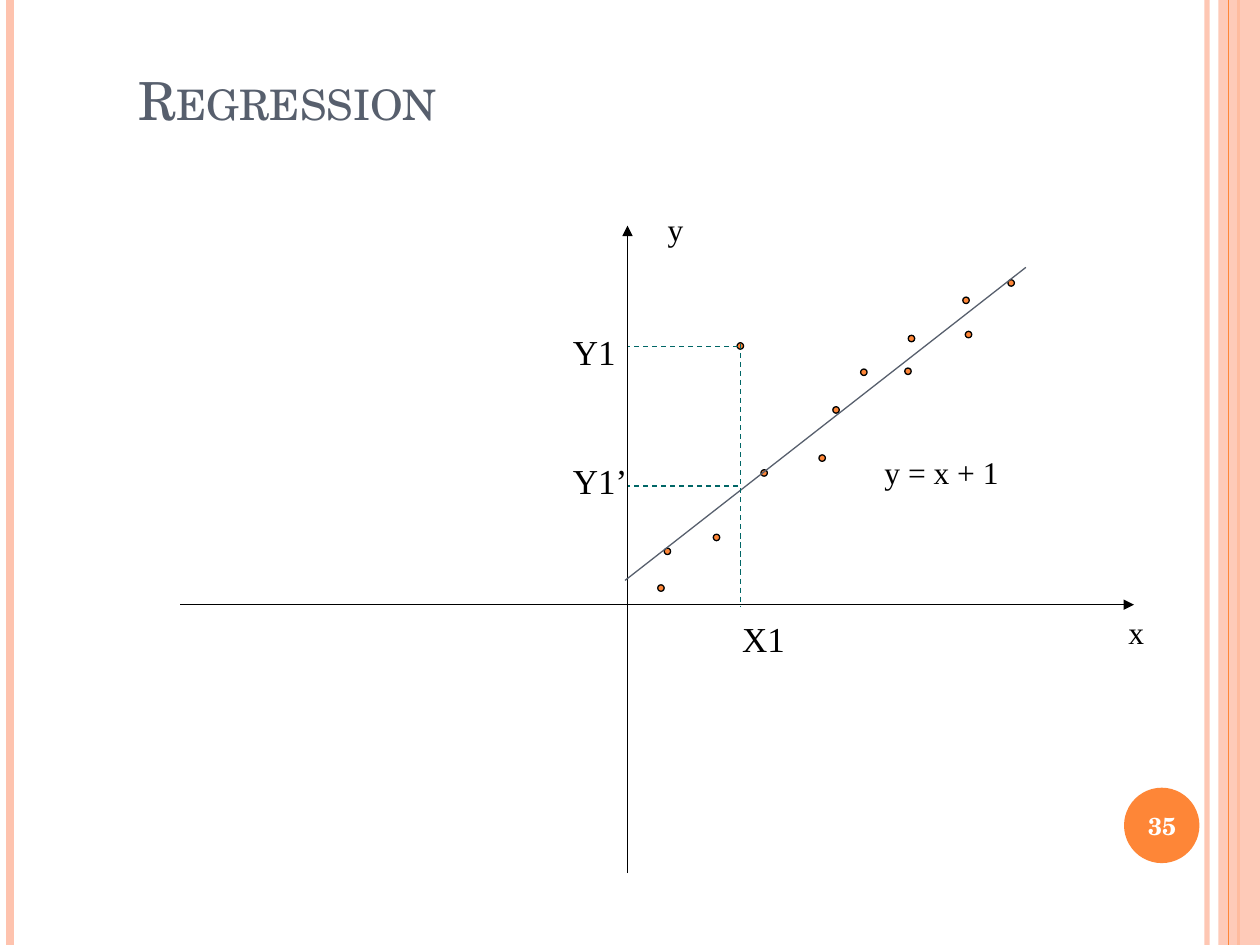
import pptx
import pptx.util
import pptx.dml.color
import pptx.enum.dml
import pptx.enum.shapes
import pptx.enum.text
import pptx.oxml
import pptx.oxml.ns
from lxml import etree

Cm, Pt = pptx.util.Cm, pptx.util.Pt
SHAPE = pptx.enum.shapes.MSO_SHAPE
ANCHOR = pptx.enum.text.MSO_ANCHOR
ALIGN = pptx.enum.text.PP_ALIGN
ORANGE, PEACH, SLATE, TEAL, BLACK = "FE8637", "FEC3AE", "575F6D", "006666", "000000"
SERIF, HEADING = "Times New Roman", "TeX Gyre Schola"
PAGE_WIDTH, PAGE_HEIGHT = 25.4, 19.05
ORIGIN_X, ORIGIN_Y = 12.65, 12.19
X1, Y1, Y1_FITTED = 14.93, 6.98, 9.8
DOT_SIZE = 0.13
DOTS = [
    (16.51, 9.17), (15.34, 9.47), (14.86, 6.91), (14.38, 10.77), (16.79, 8.2),
    (17.35, 7.44), (13.39, 11.05), (18.24, 7.42), (18.31, 6.76), (19.46, 6.68),
    (13.26, 11.79), (19.41, 5.99), (20.32, 5.64),
]
LABELS = [
    ("x", 22.5, 12.23, 0.94, 18), ("y", 13.21, 4.1, 0.94, 18),
    ("y = x + 1", 17.58, 9, 3.58, 18), ("X1", 14.71, 12.33, 1.37, 20),
    ("Y1", 11.3, 6.53, 1.37, 20), ("Y1’", 11.3, 9.14, 1.6, 20),
]


def color(hex_string):
    """Turn a hex string into a colour."""
    return pptx.dml.color.RGBColor.from_string(hex_string)


def set_opacity(parent, percent):
    """Make the solid colour inside an element partly transparent."""
    rgb = next(parent.iter(pptx.oxml.ns.qn("a:srgbClr")))
    etree.SubElement(rgb, pptx.oxml.ns.qn("a:alpha"), val=str(percent * 1000))


def style_text(frame, text, size, font_name, hex_string):
    """Write one paragraph and return it with its font set."""
    frame.text = text
    paragraph = frame.paragraphs[0]
    font = paragraph.font
    font.size, font.name = Pt(size), font_name
    font.color.rgb = color(hex_string)
    return paragraph


def add_line(slide, start, end, hex_string, width=0.75, dashed=False, arrow=False):
    """Draw a straight line between two points."""
    line = slide.shapes.add_connector(
        pptx.enum.shapes.MSO_CONNECTOR.STRAIGHT, *map(Cm, start + end))
    line.line.color.rgb = color(hex_string)
    line.line.width = Pt(width)
    if dashed:
        line.line.dash_style = pptx.enum.dml.MSO_LINE.DASH
    if arrow:
        etree.SubElement(line.line._get_or_add_ln(),
                         pptx.oxml.ns.qn("a:tailEnd"), type="triangle")
    etree.SubElement(line._element.spPr, pptx.oxml.ns.qn("a:effectLst"))
    return line


def add_filled(slide, kind, left, top, width, height, fill, outline=None):
    """Draw a filled preset shape."""
    shape = slide.shapes.add_shape(kind, *map(Cm, (left, top, width, height)))
    shape.shadow.inherit = False
    shape.fill.solid()
    shape.fill.fore_color.rgb = color(fill)
    if outline:
        shape.line.color.rgb = color(outline)
        shape.line.width = Pt(0.75)
    else:
        shape.line.fill.background()
    return shape


def add_label(slide, text, left, top, width, size):
    """Place a black label on the graph."""
    box = slide.shapes.add_textbox(*map(Cm, (left, top, width, 1.1)))
    box.text_frame.word_wrap = False
    style_text(box.text_frame, text, size, SERIF, BLACK)


def add_borders(slide):
    """Draw the stripes at the left and right edges."""
    def stripe(x, hex_string, width):
        return add_line(slide, (x, 0), (x, PAGE_HEIGHT), hex_string, width)

    set_opacity(stripe(24.33, PEACH, 3)._element.spPr, 93)
    stripe(0.2, PEACH, 4.5)
    stripe(24.97, ORANGE, 1.5)
    band = add_filled(slide, SHAPE.RECTANGLE, 24.56, 0, PAGE_WIDTH - 24.56, PAGE_HEIGHT, PEACH)
    set_opacity(band._element.spPr, 87)
    stripe(24.77, ORANGE, 0.75)


def add_page_number(slide, number):
    """Draw the page number on its disc."""
    add_filled(slide, SHAPE.OVAL, 22.66, 15.88, 1.52, 1.52, ORANGE)
    box = slide.shapes.add_textbox(Cm(22.58), Cm(15.93), Cm(1.7), Cm(1.45))
    box.text_frame.word_wrap = True
    box.text_frame.vertical_anchor = ANCHOR.MIDDLE
    paragraph = style_text(box.text_frame, number, 14, HEADING, "FFFFFF")
    paragraph.alignment = ALIGN.CENTER
    paragraph.font.bold = True


def set_title(slide, text):
    """Place and format the title."""
    title = slide.shapes.title
    title.left, title.top, title.width, title.height = map(Cm, (2.54, 1.07, 17.78, 1.7))
    title.text_frame.vertical_anchor = ANCHOR.BOTTOM
    paragraph = style_text(title.text_frame, text, 30, HEADING, SLATE)
    paragraph.alignment = ALIGN.LEFT
    paragraph.font._element.set("cap", "small")


def add_graph(slide):
    """Draw the axes, data points, fitted line, guides and labels."""
    add_line(slide, (3.63, ORIGIN_Y), (22.86, ORIGIN_Y), BLACK, arrow=True)
    add_line(slide, (ORIGIN_X, 17.6), (ORIGIN_X, 4.55), BLACK, arrow=True)
    for left, top in DOTS:
        add_filled(slide, SHAPE.OVAL, left, top, DOT_SIZE, DOT_SIZE, ORANGE, BLACK)
    add_line(slide, (12.6, 11.7), (20.68, 5.39), SLATE)
    add_line(slide, (X1, Y1 - 0.05), (X1, ORIGIN_Y + 0.05), TEAL, dashed=True)
    for y in (Y1, Y1_FITTED):
        add_line(slide, (X1 - 0.05, y), (ORIGIN_X, y), TEAL, dashed=True)
    for label in LABELS:
        add_label(slide, *label)


def main():
    """Build the regression slide."""
    deck = pptx.Presentation()
    deck.slide_width, deck.slide_height = Cm(PAGE_WIDTH), Cm(PAGE_HEIGHT)
    slide = deck.slides.add_slide(deck.slide_layouts[5])
    add_borders(slide)
    set_title(slide, "Regression")
    add_graph(slide)
    add_page_number(slide, "35")
    deck.save("out.pptx")


if __name__ == "__main__":
    main()
